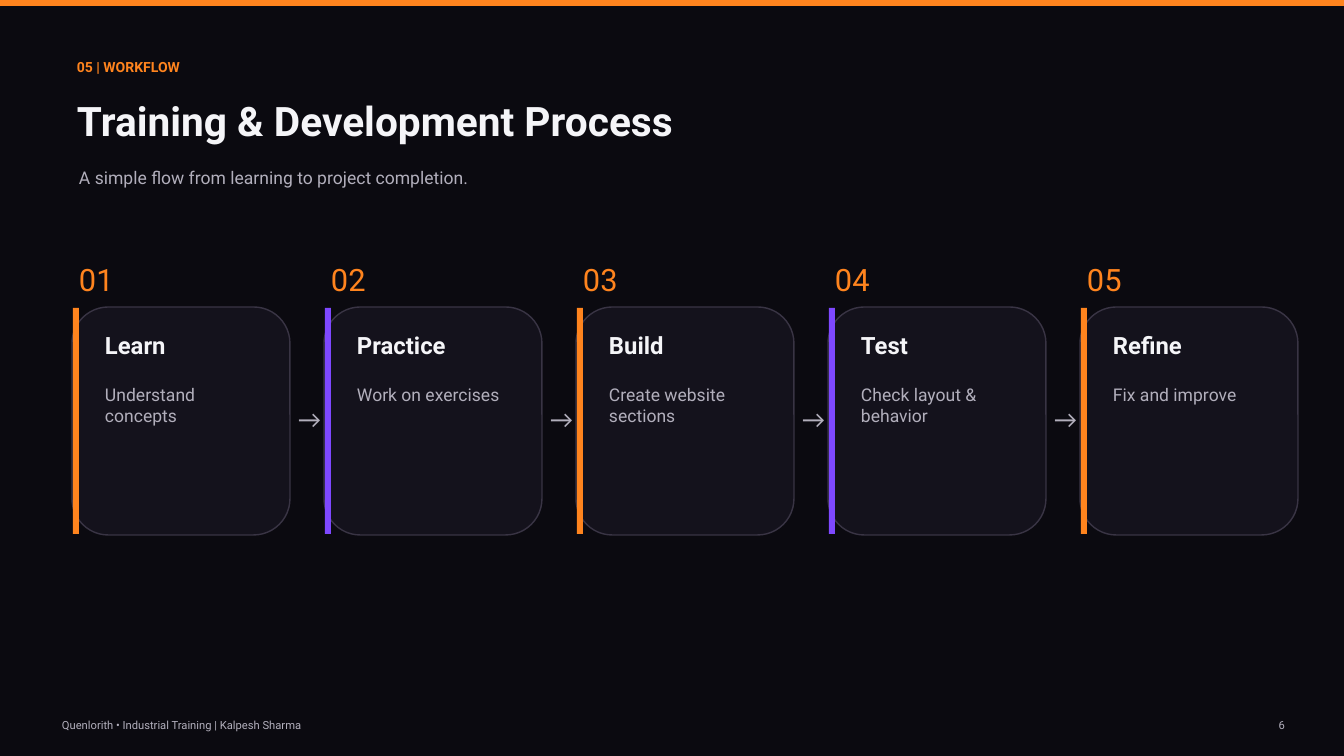
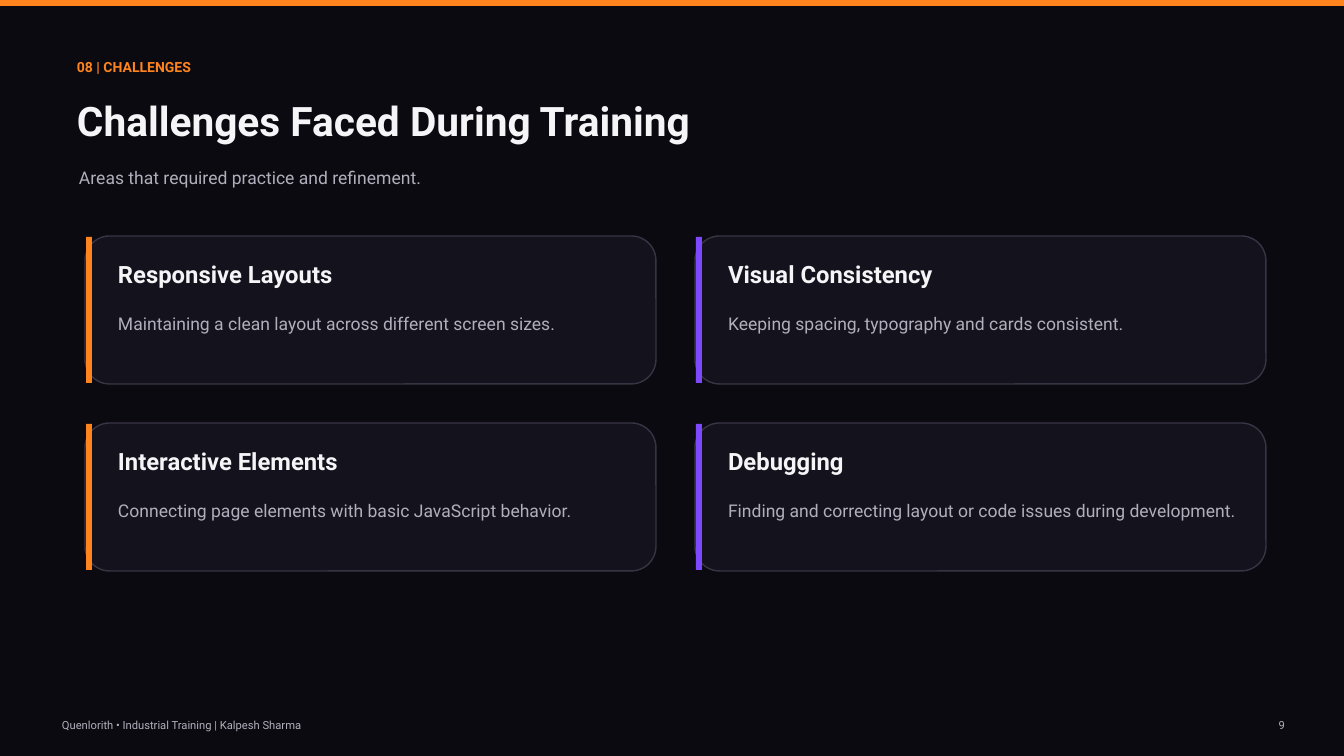
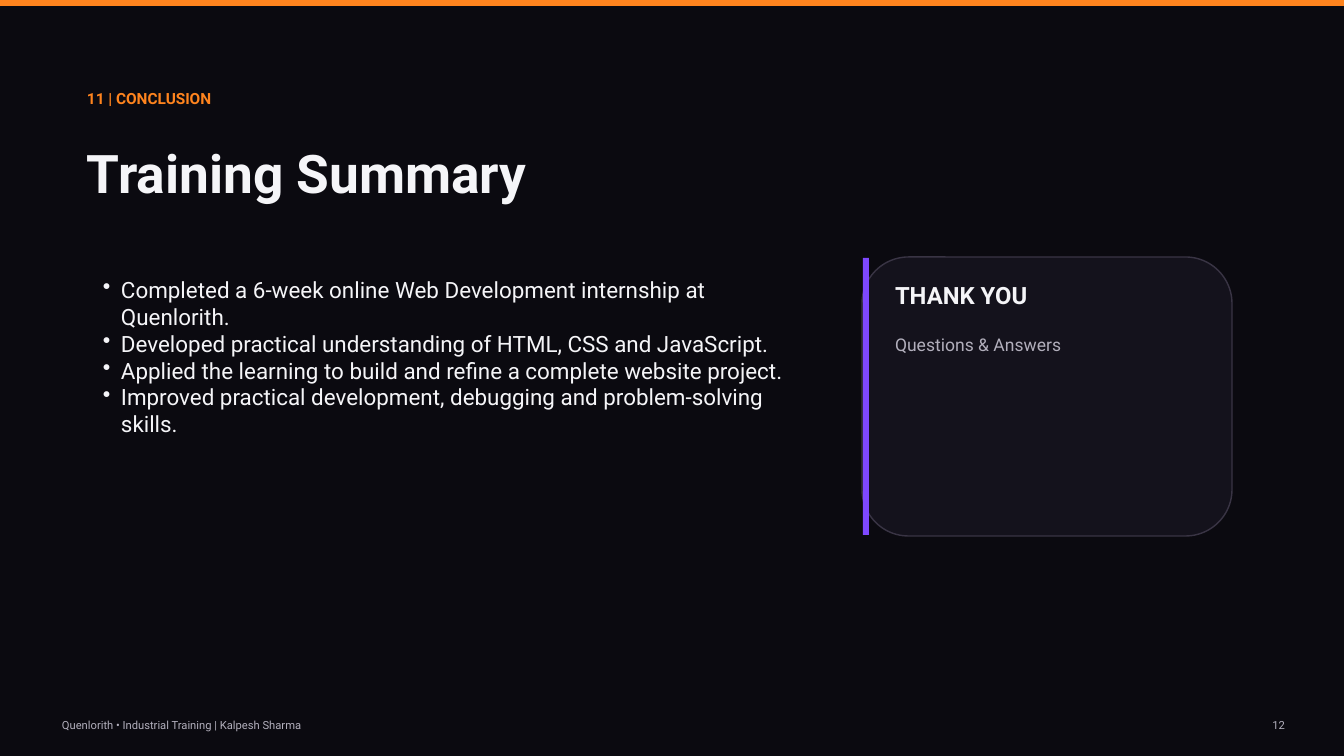
from lxml import etree
from pptx import Presentation
from pptx import util as u
from pptx.dml.color import RGBColor
from pptx.enum import shapes, text
from pptx.oxml.ns import qn

SCALE = 914400 / 67.2
WIDE, HIGH = 1344, 756

BACK, PANEL, EDGE = "0B0A10", "14121C", "393444"
ORANGE, PURPLE = "FF841E", "7E48FF"
WHITE, GREY = "F5F5F8", "B2AFBC"
ACCENTS = (ORANGE, PURPLE)
FOOTER = "Quenlorith • Industrial Training | Kalpesh Sharma"

STEPS = [
    ("Learn", "Understand concepts"),
    ("Practice", "Work on exercises"),
    ("Build", "Create website sections"),
    ("Test", "Check layout & behavior"),
    ("Refine", "Fix and improve"),
]
ISSUES = [
    ("Responsive Layouts", "Maintaining a clean layout across different screen sizes."),
    ("Visual Consistency", "Keeping spacing, typography and cards consistent."),
    ("Interactive Elements", "Connecting page elements with basic JavaScript behavior."),
    ("Debugging", "Finding and correcting layout or code issues during development."),
]
POINTS = [
    "Completed a 6-week online Web Development internship at Quenlorith.",
    "Developed practical understanding of HTML, CSS and JavaScript.",
    "Applied the learning to build and refine a complete website project.",
    "Improved practical development, debugging and problem-solving skills.",
]


def px(n):
    return u.Emu(round(n * SCALE))


def color(code):
    return RGBColor.from_string(code)


def bullet(para, gap):
    """Give a paragraph a bullet with a hanging indent."""
    props = para._p.get_or_add_pPr()
    props.set("marL", str(px(gap)))
    props.set("indent", str(-px(gap)))
    etree.SubElement(props, qn("a:buChar")).set("char", "•")


def write(slide, words, box, size, ink, bold=False, face="Roboto",
          right=False, dots=0):
    """Add a text box; a positive dots value is the bullet indent."""
    frame = slide.shapes.add_textbox(*map(px, box)).text_frame
    frame.word_wrap = True
    frame.margin_left = frame.margin_right = 0
    frame.margin_top = frame.margin_bottom = 0
    frame.text = words
    for para in frame.paragraphs:
        if dots:
            bullet(para, dots)
        para.line_spacing = u.Pt(size * 1.2)
        para.alignment = text.PP_ALIGN.RIGHT if right else text.PP_ALIGN.LEFT
        for run in para.runs:
            run.font.name = face
            run.font.size = u.Pt(size)
            run.font.bold = bold
            run.font.color.rgb = color(ink)


def block(slide, kind, box, fill, edge=None):
    shape = slide.shapes.add_shape(kind, *map(px, box))
    shape.shadow.inherit = False
    shape.fill.solid()
    shape.fill.fore_color.rgb = color(fill)
    if edge:
        shape.line.color.rgb = color(edge)
        shape.line.width = u.Pt(1.5)
    else:
        shape.line.fill.background()


def bar(slide, box, fill):
    block(slide, shapes.MSO_SHAPE.RECTANGLE, box, fill)


def card(slide, box, accent, title, body):
    x, y, w, h = box
    block(slide, shapes.MSO_SHAPE.ROUNDED_RECTANGLE, box, PANEL, EDGE)
    bar(slide, (x + 1, y + 1, 6, h - 2), accent)
    write(slide, title, (x + 33, y + 24, w - 60, 34), 25.5, WHITE, bold=True)
    write(slide, body, (x + 33, y + 77, w - 60, h - 99), 18.8, GREY)


def page(deck, number):
    """Add a slide with the top bar and footer."""
    slide = deck.slides.add_slide(deck.slide_layouts[6])
    bar(slide, (0, 0, WIDE, 6), ORANGE)
    write(slide, FOOTER, (62, 718, 1146, 15), 12, GREY)
    write(slide, str(number), (1253, 718, 32, 15), 12, GREY, right=True)
    return slide


def head(slide, label, title, intro):
    write(slide, label, (77, 59, 1177, 29), 15, ORANGE, bold=True)
    write(slide, title, (77, 96, 1177, 66), 43.5, WHITE, bold=True)
    write(slide, intro, (79, 167, 1157, 44), 18.8, GREY)


def process(deck):
    slide = page(deck, 6)
    head(slide, "05 | WORKFLOW", "Training & Development Process",
         "A simple flow from learning to project completion.")
    for i, (title, body) in enumerate(STEPS):
        x = 72 + 252 * i
        write(slide, f"{i + 1:02}", (x + 7, 261, 57, 38), 33, ORANGE)
        card(slide, (x, 307, 218, 228), ACCENTS[i % 2], title, body)
        if i < len(STEPS) - 1:
            write(slide, "→", (x + 226, 403, 17, 28), 27, GREY, face="Calibri")


def challenges(deck):
    slide = page(deck, 9)
    head(slide, "08 | CHALLENGES", "Challenges Faced During Training",
         "Areas that required practice and refinement.")
    for i, (title, body) in enumerate(ISSUES):
        row, col = divmod(i, 2)
        box = (85 + 610 * col, 236 + 187 * row, 571, 148)
        card(slide, box, ACCENTS[col], title, body)


def summary(deck):
    slide = page(deck, 12)
    write(slide, "11 | CONCLUSION", (87, 89, 491, 29), 16.5, ORANGE, bold=True)
    write(slide, "Training Summary", (87, 140, 1177, 84), 57, WHITE, bold=True)
    write(slide, "\n".join(POINTS), (103, 276, 703, 296), 24, WHITE, dots=18)
    card(slide, (862, 257, 370, 279), PURPLE, "THANK YOU", "Questions & Answers")


def main():
    deck = Presentation()
    deck.slide_width, deck.slide_height = px(WIDE), px(HIGH)
    fill = deck.slide_master.background.fill
    fill.solid()
    fill.fore_color.rgb = color(BACK)
    process(deck)
    challenges(deck)
    summary(deck)
    deck.save("out.pptx")


if __name__ == "__main__":
    main()
